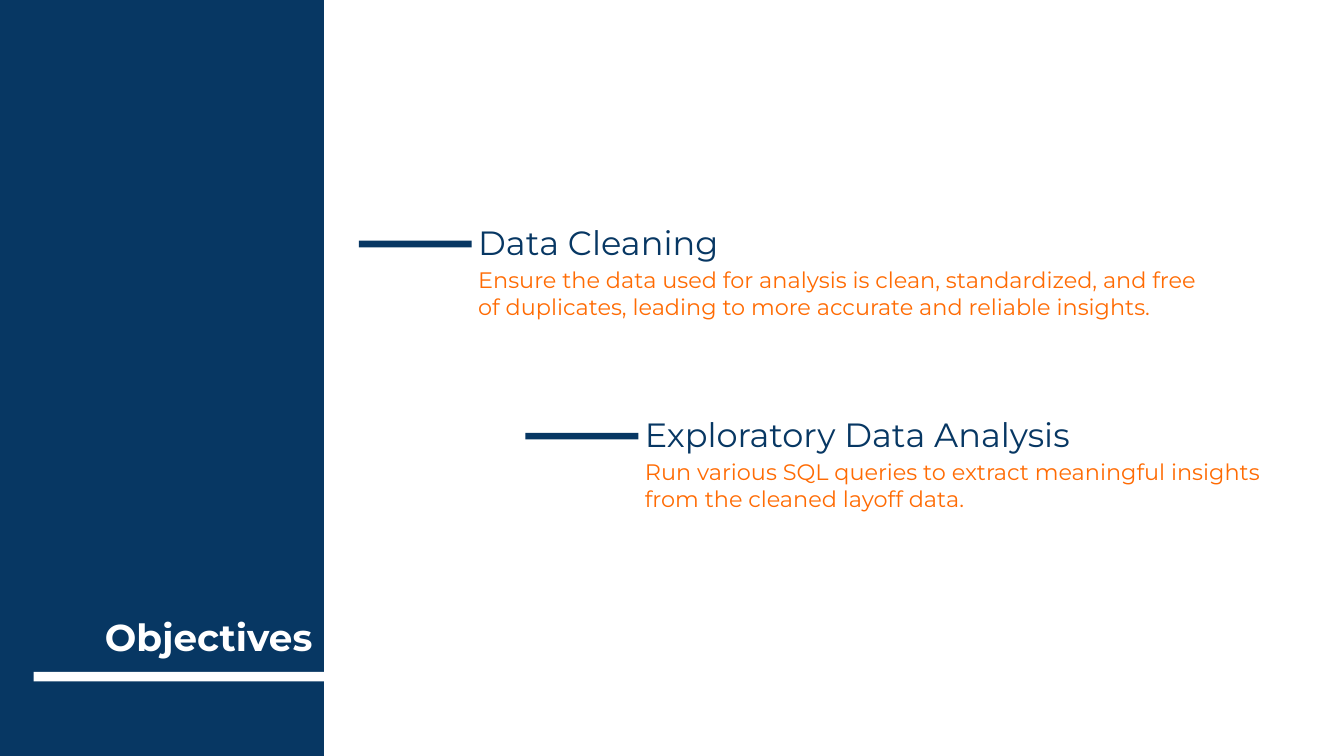
import dataclasses

import pptx
import pptx.dml.color
import pptx.enum.shapes
import pptx.enum.text
import pptx.util

Inches = pptx.util.Inches
Anchor = pptx.enum.text.MSO_ANCHOR


def rgb(code):
    return pptx.dml.color.RGBColor.from_string(code)


@dataclasses.dataclass(frozen=True)
class Theme:
    font: str = "Montserrat"
    navy: str = "073763"
    orange: str = "FF6B03"
    white: str = "FFFFFF"
    title: int = 20
    head: int = 18
    body: int = 12


def write(shape, text, *, font, size, color, bold=False, anchor=Anchor.TOP):
    frame = shape.text_frame
    frame.word_wrap = True
    frame.auto_size = pptx.enum.text.MSO_AUTO_SIZE.NONE
    frame.vertical_anchor = anchor
    frame.margin_left = frame.margin_right = Inches(0.1)
    frame.margin_top = frame.margin_bottom = Inches(0.1)
    frame.text = text
    para = frame.paragraphs[0]
    para.alignment = pptx.enum.text.PP_ALIGN.LEFT
    para.line_spacing = 1.0
    para.space_before = pptx.util.Pt(0)
    para.font.name = font
    para.font.size = pptx.util.Pt(size)
    para.font.bold = bold
    para.font.color.rgb = rgb(color)


class Page:
    def __init__(self, slide, theme):
        self.slide = slide
        self.theme = theme

    def bar(self, left, top, width, height, color):
        shape = self.slide.shapes.add_shape(
            pptx.enum.shapes.MSO_SHAPE.RECTANGLE,
            Inches(left), Inches(top), Inches(width), Inches(height))
        shape.shadow.inherit = False
        shape.fill.solid()
        shape.fill.fore_color.rgb = rgb(color)
        shape.line.fill.background()

    def title(self, text, left, top, width, height):
        shape = self.slide.shapes.title
        shape.left, shape.top = Inches(left), Inches(top)
        shape.width, shape.height = Inches(width), Inches(height)
        write(shape, text, font=self.theme.font, size=self.theme.title,
              color=self.theme.white, bold=True, anchor=Anchor.BOTTOM)
        # Bring the title in front of the side panel.
        self.slide.shapes.element.append(shape.element)

    def text(self, text, left, top, width, height, **style):
        box = self.slide.shapes.add_textbox(
            Inches(left), Inches(top), Inches(width), Inches(height))
        write(box, text, font=self.theme.font, **style)

    def goal(self, left, top, head, body, head_width, body_width, body_height):
        """Place a heading with its body below and a dash to its left."""
        theme = self.theme
        self.text(head, left, top, head_width, 0.34, size=theme.head,
                  color=theme.navy, anchor=Anchor.MIDDLE)
        self.text(body, left, top + 0.25, body_width, body_height,
                  size=theme.body, color=theme.orange)
        self.bar(left - 0.79, top + 0.16, 0.84, 0.05, theme.navy)


def main():
    theme = Theme()
    deck = pptx.Presentation()
    deck.slide_width = Inches(10)
    deck.slide_height = deck.slide_width * 9 // 16
    page = Page(deck.slides.add_slide(deck.slide_layouts[5]), theme)

    page.bar(-0.04, -0.07, 2.45, 5.77, theme.navy)
    page.bar(0.25, 5, 2.28, 0.07, theme.white)
    page.title("Objectives", 0.68, 3.81, 1.83, 1.19)

    goals = [
        ("Data Cleaning",
         "Ensure the data used for analysis is clean, standardized, and free "
         "of duplicates, leading to more accurate and reliable insights.",
         2.15, 5.66, 0.52),
        ("Exploratory Data Analysis",
         "Run various SQL queries to extract meaningful insights from the "
         "cleaned layoff data.",
         3.75, 4.85, 0.62),
    ]
    for step, goal in enumerate(goals):
        page.goal(3.46 + 1.24 * step, 1.63 + 1.43 * step, *goal)

    deck.save("out.pptx")


if __name__ == "__main__":
    main()
